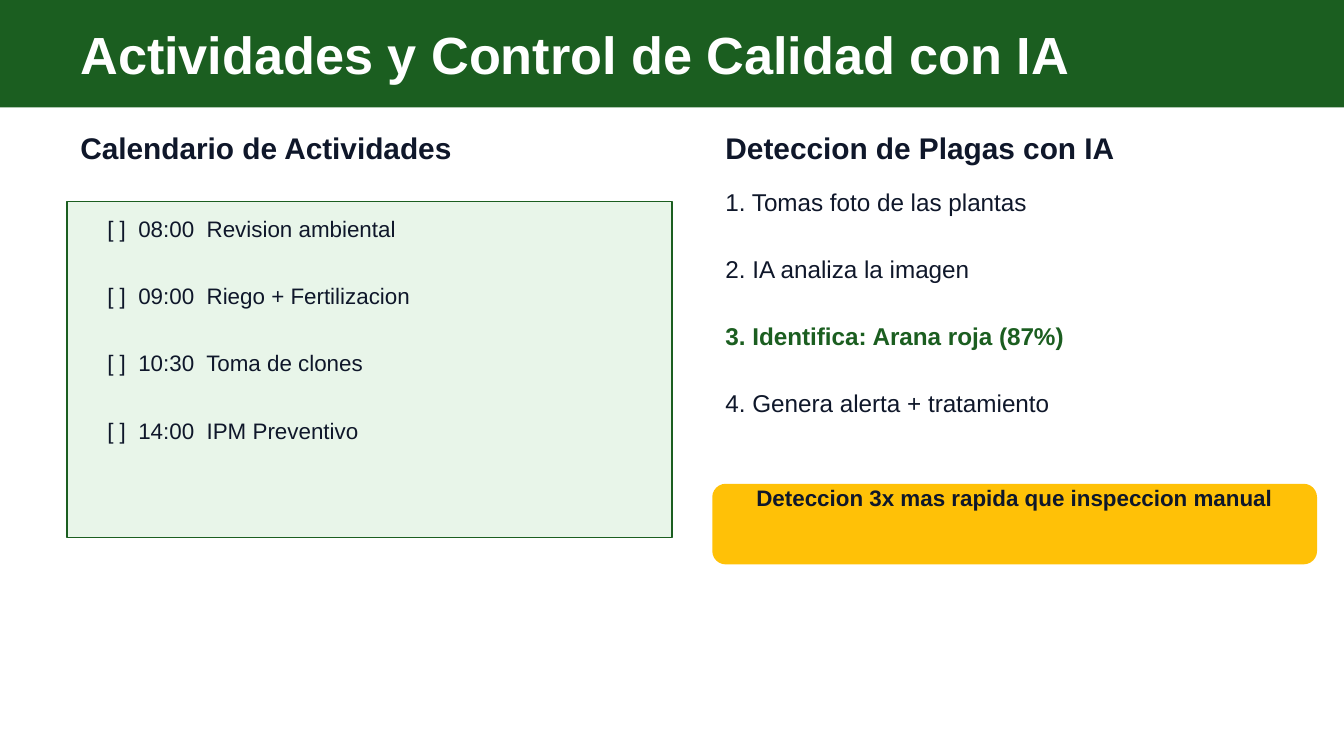
from dataclasses import dataclass

from pptx import Presentation
from pptx.dml.color import RGBColor
from pptx.enum.shapes import MSO_SHAPE
from pptx.enum.text import MSO_ANCHOR, PP_ALIGN
from pptx.util import Inches, Pt


@dataclass(frozen=True)
class Theme:
    font: str = "Arial"
    green: str = "1B5E20"
    pale_green: str = "E8F5E9"
    amber: str = "FFC107"
    ink: str = "0F172A"
    white: str = "FFFFFF"
    title: int = 28
    heading: int = 16
    step: int = 13
    body: int = 12


@dataclass(frozen=True)
class Box:
    left: float
    top: float
    width: float
    height: float = 0

    def inset(self, left, top, width, height=0):
        return Box(self.left + left, self.top + top, width, height)

    def lengths(self):
        return [Inches(round(n, 2)) for n in (self.left, self.top, self.width, self.height)]


THEME = Theme()
SLIDE_WIDTH = 10
SLIDE_HEIGHT = SLIDE_WIDTH * 9 / 16
ROW_GAP = 0.5


def add_panel(page, box, fill, line=None, kind=MSO_SHAPE.RECTANGLE):
    panel = page.shapes.add_shape(kind, *box.lengths())
    panel.shadow.inherit = False
    panel.fill.solid()
    panel.fill.fore_color.rgb = RGBColor.from_string(fill)
    if line:
        panel.line.color.rgb = RGBColor.from_string(line)
        panel.line.width = Pt(1)
    else:
        panel.line.fill.background()


def add_label(page, box, text, size, color=THEME.ink, bold=False, align=PP_ALIGN.LEFT):
    frame = page.shapes.add_textbox(*box.lengths()).text_frame
    frame.word_wrap = True
    frame.vertical_anchor = MSO_ANCHOR.MIDDLE
    frame.text = text
    para = frame.paragraphs[0]
    para.alignment = align
    font = para.runs[0].font
    font.name = THEME.font
    font.size = Pt(size)
    font.bold = bold
    font.color.rgb = RGBColor.from_string(color)


def add_header(page, box, title):
    add_panel(page, box, THEME.green)
    add_label(page, box.inset(0.5, 0.15, box.width - 1, 0.5),
              title, THEME.title, THEME.white, bold=True)


def add_calendar(page, box, heading, activities):
    add_label(page, box.inset(0, 0, box.width), heading, THEME.heading, bold=True)
    add_panel(page, box.inset(0, 0.4, box.width, box.height - 0.4),
              THEME.pale_green, THEME.green)
    for row, (hour, activity) in enumerate(activities):
        add_label(page, box.inset(0.2, 0.6 + row * ROW_GAP, box.width - 0.5),
                  f"[ ]  {hour}  {activity}", THEME.body)


def add_detection(page, box, heading, steps, key_step, callout):
    add_label(page, box.inset(0, 0, box.width), heading, THEME.heading, bold=True)
    for row, step in enumerate(steps):
        is_key = row + 1 == key_step
        add_label(page, box.inset(0, 0.4 + row * ROW_GAP, box.width),
                  f"{row + 1}. {step}", THEME.step,
                  THEME.green if is_key else THEME.ink, bold=is_key)
    banner = box.inset(0, box.height - 0.6, box.width, 0.6)
    add_panel(page, banner, THEME.amber, kind=MSO_SHAPE.ROUNDED_RECTANGLE)
    add_label(page, banner.inset(0, 0.1, box.width), callout, THEME.body,
              bold=True, align=PP_ALIGN.CENTER)


def main():
    deck = Presentation()
    deck.slide_width, deck.slide_height = Inches(SLIDE_WIDTH), Inches(SLIDE_HEIGHT)
    page = deck.slides.add_slide(deck.slide_layouts[6])

    add_header(page, Box(0, 0, SLIDE_WIDTH, 0.8), "Actividades y Control de Calidad con IA")
    add_calendar(page, Box(0.5, 1.1, 4.5, 2.9), "Calendario de Actividades", [
        ("08:00", "Revision ambiental"),
        ("09:00", "Riego + Fertilizacion"),
        ("10:30", "Toma de clones"),
        ("14:00", "IPM Preventivo"),
    ])
    add_detection(page, Box(5.3, 1.1, 4.5, 3.1), "Deteccion de Plagas con IA", [
        "Tomas foto de las plantas",
        "IA analiza la imagen",
        "Identifica: Arana roja (87%)",
        "Genera alerta + tratamiento",
    ], key_step=3, callout="Deteccion 3x mas rapida que inspeccion manual")

    deck.save("out.pptx")


if __name__ == "__main__":
    main()
